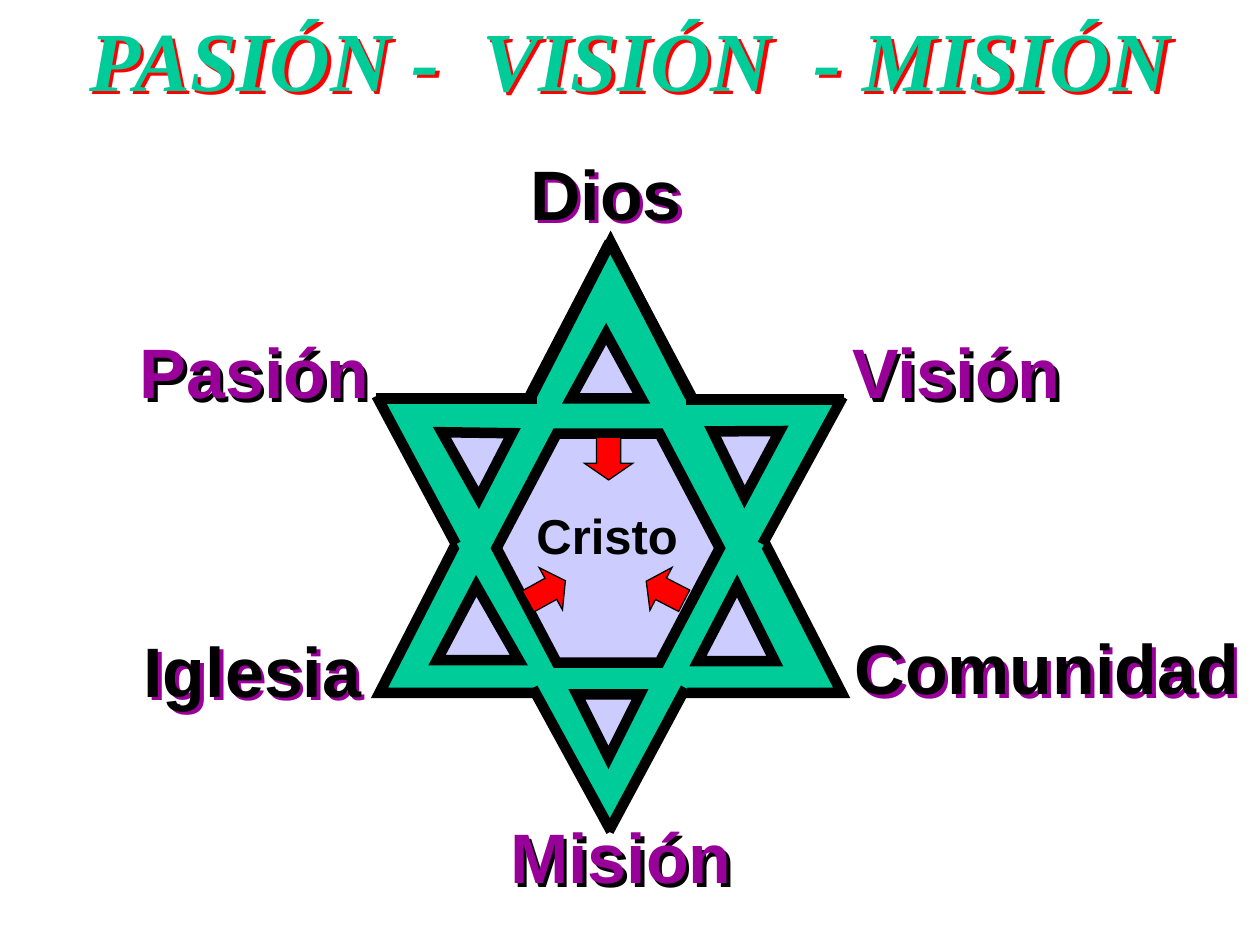
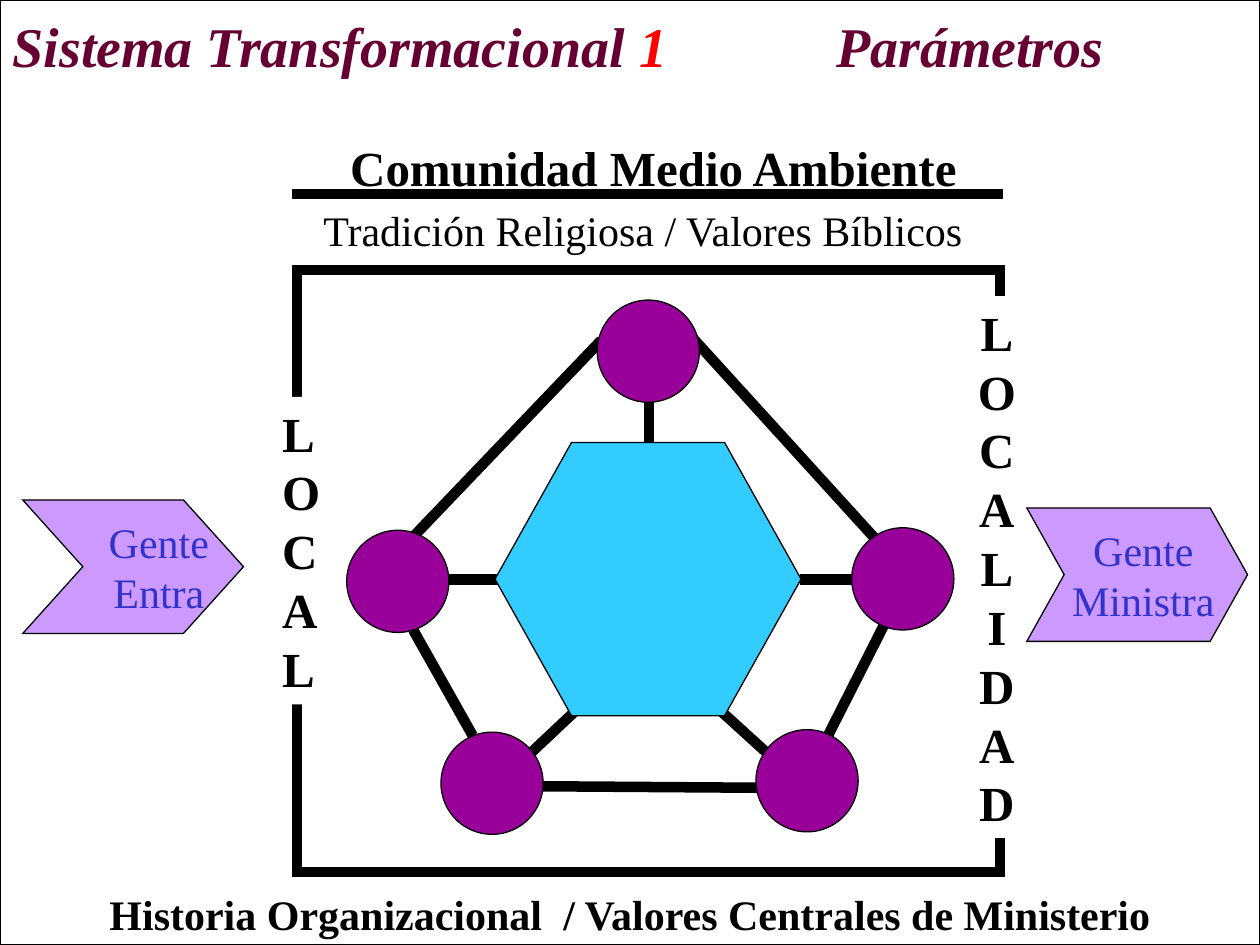
from lxml import etree
from pptx import Presentation
from pptx.dml.color import RGBColor
from pptx.enum.shapes import MSO_CONNECTOR, MSO_SHAPE
from pptx.enum.text import MSO_ANCHOR, MSO_AUTO_SIZE, PP_ALIGN
from pptx.oxml.ns import qn
from pptx.util import Cm, Pt

TRI, HEX = MSO_SHAPE.ISOSCELES_TRIANGLE, MSO_SHAPE.HEXAGON
OVAL, RECT = MSO_SHAPE.OVAL, MSO_SHAPE.RECTANGLE
ARROW, CHEVRON = MSO_SHAPE.LEFT_ARROW, MSO_SHAPE.CHEVRON
STRAIGHT = MSO_CONNECTOR.STRAIGHT
LEFT, CENTER = PP_ALIGN.LEFT, PP_ALIGN.CENTER
TOP, MIDDLE = MSO_ANCHOR.TOP, MSO_ANCHOR.MIDDLE
FIXED = MSO_AUTO_SIZE.NONE

HUES = {"black": "000000", "white": "FFFFFF", "green": "00CC99", "red": "FF0000",
        "purple": "990099", "pale": "CCCCFF", "wine": "660033", "sky": "33CCFF",
        "lilac": "CC99FF", "blue": "3333CC"}
SERIF, SANS = "Times New Roman", "Arial"
THICK, THIN = 6, 0.75
WIDE = 25.4

# Slide 1: a run is text, colour and extra letter spacing in points
VISION = [("PASIÓN -", "green", 0), (" ", "green", 12), ("VISIÓN", "green", 0),
          (" ", "green", 12), ("- MISIÓN", "green", 0)]
# Star triangles: left, top, width, height, turn, tip, fill, line width
STAR = [
    (7.65, 4.88, 9.32, 9.09, 0, 0.5, "green", THICK),
    (7.65, 8.05, 9.32, 8.69, 180, 0.5, "green", 0),
    (11.51, 6.73, 1.42, 1.3, 0, 0.5, "pale", THICK),
    (14.07, 11.81, 1.55, 1.52, 0, 0.51, "pale", THICK),
    (8.81, 11.81, 1.65, 1.5, 0, 0.48, "pale", THICK),
    (14.5, 8.48, 1.47, 1.22, 64, 0.4, "pale", THICK),
    (8.69, 8.46, 1.47, 1.27, 297.3, 0.57, "pale", THICK),
    (11.63, 14, 1.27, 1.27, 180, 0.5, "pale", THICK),
]
EDGES = [
    (12.29, 4.88, 13.97, 8.05), (12.29, 4.88, 10.67, 8),
    (12.27, 16.76, 13.82, 13.87), (12.32, 16.76, 10.74, 13.87),
    (15.37, 10.97, 16.99, 8), (13.82, 8.05, 17.02, 8.05),
    (7.57, 8.03, 10.82, 8.03), (9.19, 10.97, 7.59, 7.98),
]
# Labels: text, left, top, width, size, colour, shadow
LABELS = [
    ("Dios", 9.68, 2.9, 5.08, 40, "black", "purple"),
    ("Iglesia", 2.13, 12.52, 5.92, 40, "black", "purple"),
    ("Comunidad", 16.76, 12.47, 8.69, 40, "black", "purple"),
    ("Misión", 9.98, 16.28, 5.08, 40, "purple", "black"),
    ("Pasión", 2.31, 6.5, 5.64, 40, "purple", "black"),
    ("Visión", 16.74, 6.5, 5.08, 40, "purple", "black"),
    ("Cristo", 9.7, 10.06, 5.08, 28, "black", None),
]
ARROWS = [(12.98, 11.43, 27.3), (10.59, 11.43, 151.1), (11.84, 8.76, 270)]

# Slide 2
SYSTEM = [("Sistema Transformacional ", "wine", 0), ("1", "red", 0),
          ("\tParámetros", "wine", 0)]
NODES = [(8.89, 14.76), (15.24, 14.71), (12.04, 6.05), (17.17, 10.64), (6.99, 10.69)]
LINKS = [
    (13.87, 6.71, 17.68, 10.9), (17.81, 12.62, 16.69, 14.83),
    (8.33, 12.7, 9.53, 14.83), (8.33, 10.82, 12.12, 6.86),
    (10.95, 15.85, 15.27, 15.88), (10.08, 11.68, 9.02, 11.68),
    (16.13, 11.68, 17.22, 11.68), (14.55, 14.35, 15.44, 15.16),
    (11.58, 14.35, 10.72, 15.16), (13.08, 8, 13.08, 8.92),
    (5.89, 3.91, 20.22, 3.91),
]
# Side words: text, box, alignment
SIDES = [("LOCAL", (5.44, 8, 1.37, 6.2), LEFT),
         ("LOCALIDAD", (19.41, 5.97, 1.37, 10.92), CENTER)]
# Captions: runs, box, size, bold, alignment
NOTES = [
    ([("Comunidad Medio Ambiente", "black", 0)],
     (6.81, 2.64, 13.13, 1.45), 28, True, LEFT),
    ([("Tradición Religiosa / Valores Bíblicos", "black", 0)],
     (6.27, 3.99, 13.72, 1.27), 24, False, LEFT),
    ([("Historia Organizacional", "black", 0), (" ", "black", 6),
      ("/ Valores Centrales de Ministerio", "black", 0)],
     (0, 17.78, WIDE, 1.27), 24, True, CENTER),
]
# Gates: lines, left, top, notch, left inset
GATES = [(("Gente", "Entra"), 0.46, 10.08, 0.45, 1.04),
         (("Gente", "Ministra"), 20.7, 10.24, 0.28, 0.25)]


def rgb(hue):
    return RGBColor.from_string(HUES[hue])


def place(item, box):
    item.left, item.top, item.width, item.height = map(Cm, box)


def shade(item, hue):
    """Give unfilled text a hard offset shadow."""
    item.fill.background()
    props = item._element.spPr
    cast = etree.SubElement(etree.SubElement(props, qn("a:effectLst")),
                            qn("a:outerShdw"), dist="35921", dir="2700000",
                            algn="ctr", rotWithShape="0")
    etree.SubElement(cast, qn("a:srgbClr"), val=HUES[hue])


def write(item, rows, size, font=SERIF, bold=False, slant=False, align=CENTER,
          anchor=TOP, wrap=True, stop=None):
    """Fill a shape with paragraphs, each a list of runs."""
    frame = item.text_frame
    frame.auto_size, frame.word_wrap = FIXED, wrap
    frame.vertical_anchor = anchor
    for num, runs in enumerate(rows):
        par = frame.add_paragraph() if num else frame.paragraphs[0]
        par.alignment = align
        par.space_before = Pt(0)
        if stop:
            tabs = etree.SubElement(par._p.get_or_add_pPr(), qn("a:tabLst"))
            etree.SubElement(tabs, qn("a:tab"), pos=str(Cm(stop)), algn="l")
        for text, hue, gap in runs:
            run = par.add_run()
            run.text = text
            run.font.name, run.font.size = font, Pt(size)
            run.font.bold, run.font.italic = bold, slant
            run.font.color.rgb = rgb(hue)
            if gap:
                run._r.get_or_add_rPr().set("spc", str(gap * 100))


def draw(slide, kind, box, fill=None, line=0, turn=0, adj=()):
    item = slide.shapes.add_shape(kind, *map(Cm, box))
    item.shadow.inherit = False
    item.rotation = turn
    for num, part in enumerate(adj):
        item.adjustments[num] = part
    if fill:
        item.fill.solid()
        item.fill.fore_color.rgb = rgb(fill)
    else:
        item.fill.background()
    if line:
        item.line.color.rgb = rgb("black")
        item.line.width = Pt(line)
        etree.SubElement(item.line._get_or_add_ln(), qn("a:miter"), lim="800000")
    else:
        item.line.fill.background()
    return item


def join(slide, ends):
    link = slide.shapes.add_connector(STRAIGHT, *map(Cm, ends))
    link.line.color.rgb = rgb("black")
    link.line.width = Pt(THICK)
    etree.SubElement(link._element.spPr, qn("a:effectLst"))


def start(deck, runs, box, size, **style):
    """Add a title-only slide with its heading."""
    slide = deck.slides.add_slide(deck.slide_layouts[5])
    title = slide.shapes.title
    place(title, box)
    write(title, [runs], size, bold=True, slant=True, anchor=MIDDLE, **style)
    return slide


def make_star(deck):
    slide = start(deck, VISION, (0, -0.84, WIDE, 4.01), 48)
    shade(slide.shapes.title, "red")
    # Star
    for *box, turn, tip, fill, line in STAR:
        draw(slide, TRI, box, fill, line, turn, [tip])
    draw(slide, HEX, (10.01, 8.74, 4.5, 4.62), "pale", THICK, adj=[0.27])
    for ends in EDGES:
        join(slide, ends)
    # Labels
    for text, left, top, width, size, hue, cast in LABELS:
        label = slide.shapes.add_textbox(*map(Cm, (left, top, width, 1.7)))
        write(label, [[(text, hue, 0)]], size, SANS, True)
        if cast:
            shade(label, cast)
    # Arrows toward the centre
    for left, top, turn in ARROWS:
        draw(slide, ARROW, (left, top, 0.86, 0.97), "red", THIN, turn, [0.5, 0.39])


def make_system(deck):
    slide = start(deck, SYSTEM, (0, 0, WIDE, 1.8), 32, align=LEFT, stop=16.6)
    # Frames
    draw(slide, RECT, (0, 0, WIDE, 19.05), line=THIN)
    draw(slide, RECT, (5.99, 5.44, 14.17, 12.14), line=THICK)
    # Network
    for ends in LINKS:
        join(slide, ends)
    for left, top in NODES:
        draw(slide, OVAL, (left, top, 2.06, 2.06), "purple", THIN)
    draw(slide, HEX, (9.98, 8.92, 6.17, 5.51), "sky", THIN, adj=[0.28])
    # Words on the frame
    for text, box, align in SIDES:
        side = draw(slide, RECT, box, "white")
        write(side, [[(text, "black", 0)]], 28, bold=True, align=align)
    for runs, box, size, bold, align in NOTES:
        note = slide.shapes.add_textbox(*map(Cm, box))
        write(note, [runs], size, bold=bold, align=align)
    # Gates
    for words, left, top, notch, inset in GATES:
        gate = draw(slide, CHEVRON, (left, top, 4.45, 2.69), "lilac", THIN, adj=[notch])
        write(gate, [[(word, "blue", 0)] for word in words], 24,
              anchor=MIDDLE, wrap=False)
        gate.text_frame.margin_left, gate.text_frame.margin_right = Cm(inset), 0


def main():
    deck = Presentation()
    deck.slide_width, deck.slide_height = Cm(WIDE), Cm(19.05)
    make_star(deck)
    make_system(deck)
    deck.save("out.pptx")


if __name__ == "__main__":
    main()
